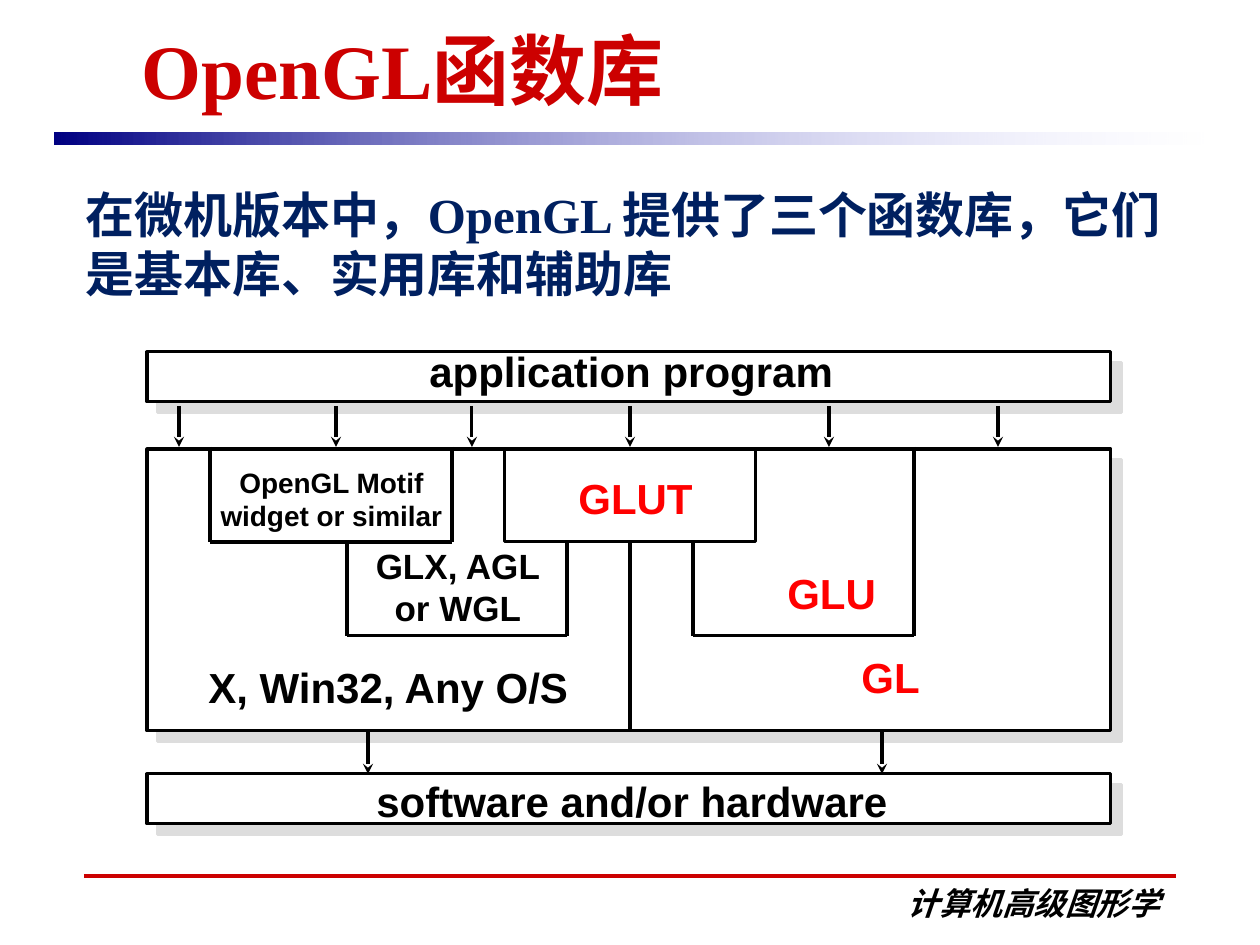
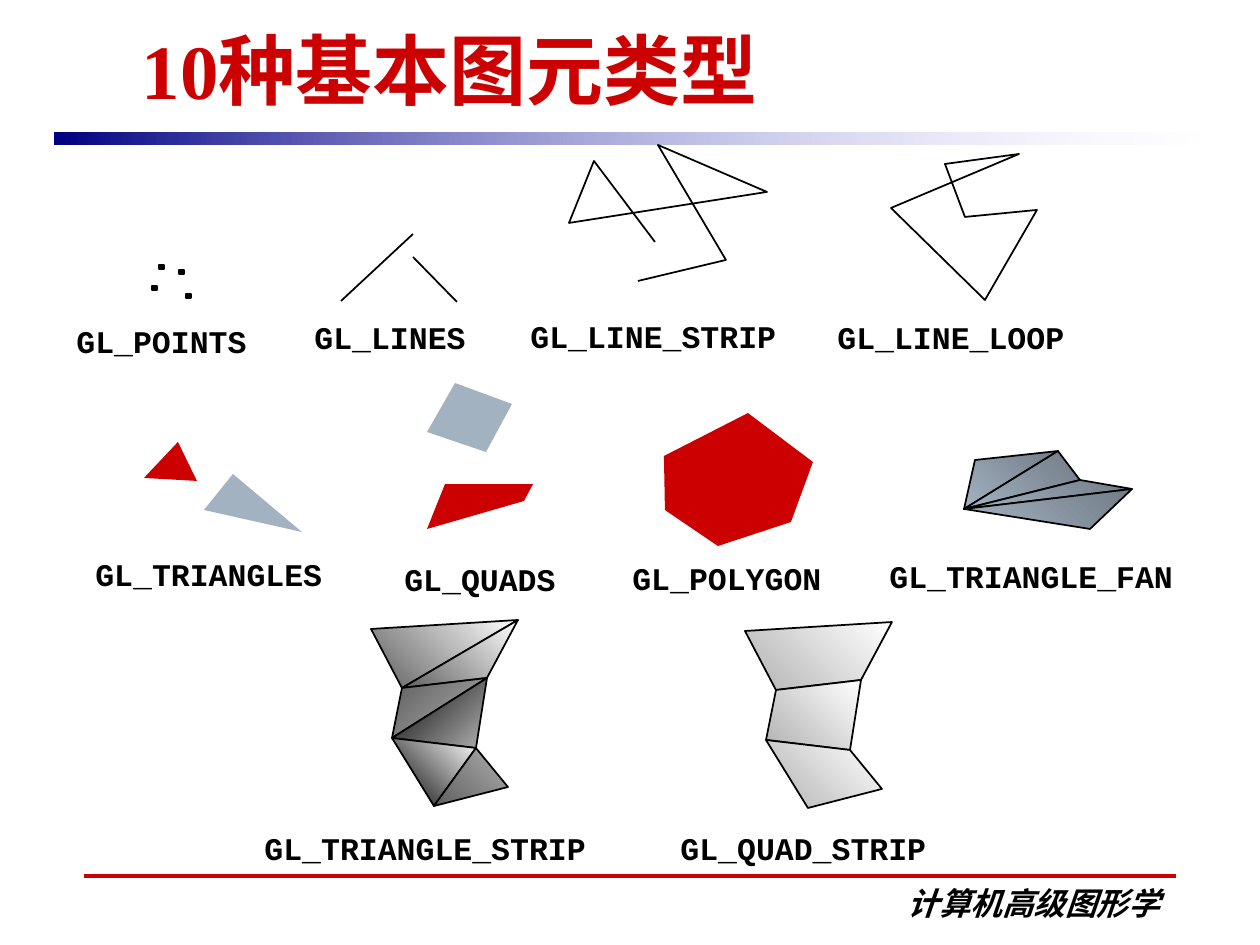
from itertools import pairwise

from lxml.etree import SubElement as Sub
from pptx import Presentation
from pptx.dml.color import RGBColor
from pptx.enum.shapes import MSO_CONNECTOR as Conn, MSO_SHAPE as Kind
from pptx.enum.text import MSO_ANCHOR as Anchor, PP_ALIGN as Align
from pptx.oxml.ns import qn
from pptx.util import Emu, Pt

SCALE = 914400 / 126
BLACK, WHITE, RED = "000000", "FFFFFF", "CC0000"
BRIGHT, NAVY, STEEL, SHADE = "FF0000", "002060", "A3B2C1", "DDDDDD"
SANS, SERIF, MONO, HAN = "Arial", "Times New Roman", "Courier New", "Noto Sans CJK SC"
UP, DOWN = 45, 315  # gradient angles, counter-clockwise
THICK, THIN = 1.75, 1


def px(num):
    return Emu(round(num * SCALE))


def box(*nums):
    return [px(num) for num in nums]


def rgb(code):
    return RGBColor.from_string(code)


def style(run, face, size, color, bold=True, slant=False):
    font = run.font
    font.name, font.size, font.bold, font.italic = face, Pt(size), bold, slant
    font.color.rgb = rgb(color)
    Sub(run.font._element, qn("a:ea"), typeface=HAN)


def text(slide, words, at, face=SANS, size=24, color=BLACK, align=Align.LEFT,
         wrap=False, slant=False):
    """Add a text box; a line is a string or a list of (string, face)."""
    shape = slide.shapes.add_textbox(*box(*at))
    frame = shape.text_frame
    frame.word_wrap = wrap
    lines = words.split("\n") if isinstance(words, str) else [words]
    for num, line in enumerate(lines):
        par = frame.add_paragraph() if num else frame.paragraphs[0]
        par.alignment = align
        for part, name in [(line, face)] if isinstance(line, str) else line:
            run = par.add_run()
            run.text = part
            style(run, name, size, color, slant=slant)
    return shape


def title(slide, words):
    shape = slide.shapes.title
    shape.left, shape.top, shape.width, shape.height = box(129, 16, 1052, 105)
    frame = shape.text_frame
    frame.vertical_anchor = Anchor.BOTTOM
    par = frame.paragraphs[0]
    par.alignment = Align.LEFT
    run = par.add_run()
    run.text = words
    style(run, SERIF, 44, RED)


def paint(shape, fill=None, line=None, width=THIN):
    """Fill with nothing, a colour, or a (start, end, angle) gradient."""
    shape.shadow.inherit = False
    if fill is None:
        shape.fill.background()
    elif isinstance(fill, str):
        shape.fill.solid()
        shape.fill.fore_color.rgb = rgb(fill)
    else:
        shape.fill.gradient()
        shape.fill.gradient_angle = fill[2]
        for stop, code in zip(shape.fill.gradient_stops, fill):
            stop.color.rgb = rgb(code)
    if line:
        shape.line.color.rgb = rgb(line)
        shape.line.width = Pt(width)
    else:
        shape.line.fill.background()


def rect(slide, at, fill=WHITE, line=BLACK, width=THICK):
    shape = slide.shapes.add_shape(Kind.RECTANGLE, *box(*at))
    paint(shape, fill, line, width)
    return shape


def slab(slide, at):
    """Add a framed box with a hard grey shadow."""
    props = rect(slide, at).element.spPr
    drop = Sub(props.find(qn("a:effectLst")), qn("a:outerShdw"),
               dist=str(Pt(8.5)), dir="2700000", algn="ctr", rotWithShape="0")
    Sub(drop, qn("a:srgbClr"), val=SHADE)


def line(slide, start, end, color=BLACK, width=THICK, arrow=False):
    shape = slide.shapes.add_connector(Conn.STRAIGHT, *box(*start, *end))
    shape.line.color.rgb = rgb(color)
    shape.line.width = Pt(width)
    if arrow:
        Sub(shape.line._get_or_add_ln(), qn("a:tailEnd"), type="stealth")
    Sub(shape.element.spPr, qn("a:effectLst"))
    return shape


def cup(slide, left, right, base, tops):
    """Draw two walls and the floor between them."""
    for x, top in zip((left, right), tops):
        line(slide, (x, top), (x, base))
    line(slide, (left, base), (right, base))


def shape(slide, dots, fill=None, edge=None, close=True):
    path = slide.shapes.build_freeform(*dots[0], scale=SCALE)
    path.add_line_segments(dots[1:], close=close)
    paint(path.convert_to_shape(), fill, edge)


def frame(slide):
    """Draw the band, rule and footer and move them to the shared layout."""
    rule = line(slide, (84, 876), (1176, 876), RED)
    band = rect(slide, (54, 133, 1152, 12), ("000082", "CCCCFF", 0), None)
    last = list(band.element.iter(qn("a:srgbClr")))[-1]
    Sub(last, qn("a:alpha"), val="0")
    foot = text(slide, "计算机高级图形学", (829, 878, 343, 50), HAN, 18,
                align=Align.RIGHT, wrap=True, slant=True)
    for item in (rule, band, foot):
        slide.slide_layout.shapes.element.append(item.element)


def stack(slide):
    """Show the library layers between program and hardware."""
    title(slide, "OpenGL函数库")
    text(slide, [("在微机版本中，", HAN), ("OpenGL ", SERIF),
                 ("提供了三个函数库，它们是基本库、实用库和辅助库", HAN)],
         (73, 178, 1102, 131), size=28, color=NAVY, wrap=True)
    for top, high in ((352, 50), (449, 282), (774, 50)):
        slab(slide, (147, top, 964, high))
    rect(slide, (505, 449, 251, 93))
    cup(slide, 210, 452, 542, (447, 447))
    cup(slide, 347, 567, 636, (542, 542))
    cup(slide, 693, 914, 636, (542, 447))
    line(slide, (630, 542), (630, 731))
    for x in (179, 336, 472, 630, 829, 998):
        line(slide, (x, 406), (x, 447), arrow=True)
    for x in (368, 882):
        line(slide, (x, 731), (x, 774), arrow=True)
    for words, at in (("GLUT", (566, 466, 140, 63)),
                      ("GLU", (775, 561, 115, 63)),
                      ("GL", (849, 645, 84, 63))):
        text(slide, words, at, color=BRIGHT)
    for words, at in (("application program", (417, 339, 430, 63)),
                      ("X, Win32, Any O/S", (196, 655, 389, 63)),
                      ("software and/or hardware", (364, 769, 537, 63))):
        text(slide, words, at)
    text(slide, "GLX, AGL\nor WGL", (362, 538, 192, 97), size=20,
         align=Align.CENTER)
    text(slide, "OpenGL Motif\nwidget or similar", (208, 459, 247, 79), size=16,
         align=Align.CENTER)


def strips(slide):
    """Draw one zigzag of corners as quads and, shifted, as triangles."""
    zig = [(745, 631), (892, 622), (776, 690), (861, 680),
           (766, 740), (850, 750), (808, 808), (882, 789)]
    for num in range(0, 6, 2):
        a, b, c, d = zig[num:num + 4]
        shape(slide, (a, b, d, c), ("B2B2B2", WHITE, UP), BLACK)
    moved = [(x - 374, y - 2) for x, y in zig]
    fills = [("5F5F5F", WHITE, UP), ("5F5F5F", WHITE, UP),
             ("5F5F5F", "AFAFAF", DOWN), (BLACK, "B2B2B2", DOWN),
             (BLACK, WHITE, UP), ("5F5F5F", "AFAFAF", UP)]
    for num, fill in enumerate(fills):
        shape(slide, moved[num:num + 3], fill, BLACK)


def kinds(slide):
    """Show a sample and a name for each primitive type."""
    title(slide, "10种基本图元类型")
    for x, y in ((159, 265), (179, 270), (152, 286), (186, 294)):
        rect(slide, (x, y, 5, 4), BLACK, width=THIN)
    line(slide, (341, 301), (413, 234), width=THIN)
    line(slide, (413, 257), (457, 302), width=THIN)
    shape(slide, [(655, 242), (594, 161), (569, 223), (767, 192), (658, 145),
                  (726, 260), (638, 281)], edge=BLACK, close=False)
    shape(slide, [(965, 217), (945, 164), (1019, 154), (891, 208), (985, 300),
                  (1037, 210)], edge=BLACK)
    for fill, dots in (
        (RED, [(178, 442), (144, 478), (197, 481)]),
        (STEEL, [(233, 474), (204, 510), (302, 532)]),
        (STEEL, [(427, 432), (455, 383), (512, 404), (486, 452)]),
        (RED, [(427, 529), (445, 484), (533, 484), (524, 501)]),
        (RED, [(664, 456), (748, 413), (813, 462), (791, 522), (718, 546),
               (665, 510)]),
    ):
        shape(slide, dots, fill)
    hub = (964, 509)
    rim = [(975, 460), (1058, 451), (1080, 480), (1132, 489), (1090, 529)]
    for pair in pairwise(rim):
        shape(slide, (hub, *pair), (STEEL, "727C87", UP), BLACK)
    strips(slide)
    for name, x, y in (
        ("POINTS", 64, 316), ("LINES", 302, 312), ("LINE_STRIP", 518, 311),
        ("LINE_LOOP", 825, 312), ("TRIANGLES", 83, 549), ("QUADS", 392, 554),
        ("POLYGON", 620, 553), ("TRIANGLE_FAN", 877, 551),
        ("TRIANGLE_STRIP", 252, 823), ("QUAD_STRIP", 668, 823),
    ):
        words = "GL_" + name
        text(slide, words, (x, y, 25 + 19 * len(words), 50), MONO, 18)


def main():
    prs = Presentation()
    prs.slide_width, prs.slide_height = box(1260, 945)
    layout = prs.slide_layouts[5]
    first, second = (prs.slides.add_slide(layout) for _ in range(2))
    frame(first)
    stack(first)
    kinds(second)
    prs.save("out.pptx")


if __name__ == "__main__":
    main()
